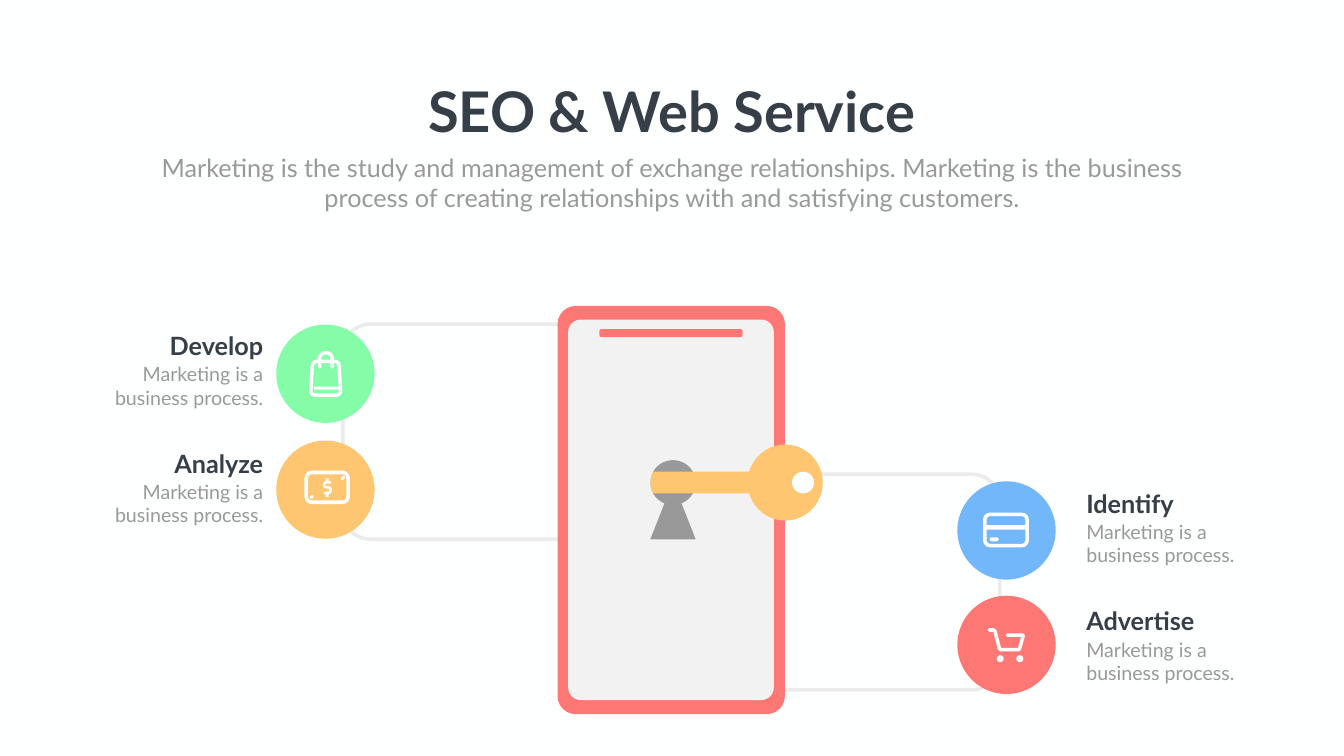
import math

import lxml.etree
import pptx
import pptx.dml.color
import pptx.enum.shapes
import pptx.enum.text
import pptx.oxml.ns
import pptx.util

SCALE = 9144  # EMU in one px, 100 px to the inch
PAPER, WHITE, LINE, SCREEN, GREY = "FEFFFF", "FFFFFF", "EBEBEB", "F2F2F2", "999999"
DARK, RED, YELLOW, GREEN, BLUE = "363E48", "FD7875", "FEC671", "84FCA8", "73B7FB"
SHAPE = pptx.enum.shapes.MSO_SHAPE
ALIGN = pptx.enum.text.PP_ALIGN
LABEL_WIDTH = 326


def emu(px):
    return pptx.util.Emu(round(px * SCALE))


def rgb(text):
    return pptx.dml.color.RGBColor.from_string(text)


def bezier(start, first, second, end, steps=10):
    """Return points along a cubic curve, both ends included."""
    points = []
    for step in range(steps + 1):
        t = step / steps
        weights = ((1 - t) ** 3, 3 * t * (1 - t) ** 2, 3 * t * t * (1 - t), t ** 3)
        points.append(tuple(
            sum(weight * value for weight, value in zip(weights, values))
            for values in zip(start, first, second, end)))
    return points


def toward(corner, other, distance):
    ratio = distance / math.dist(corner, other)
    return tuple(a + (b - a) * ratio for a, b in zip(corner, other))


def rounded(points, radius, closed=False):
    """Replace each corner of a polyline by a round one."""
    count = len(points)
    result = []
    for index, corner in enumerate(points):
        if not closed and index in (0, count - 1):
            result.append(corner)
            continue
        before, after = points[index - 1], points[(index + 1) % count]
        result += bezier(toward(corner, before, radius), toward(corner, before, radius * 0.45),
                         toward(corner, after, radius * 0.45), toward(corner, after, radius))
    return result


class Painter:
    font = "Lato"
    heading = {"size": pptx.util.Pt(36), "bold": True}
    detail = {"size": pptx.util.Pt(28), "bold": False}

    def __init__(self, page):
        self.page = page
        self.shapes = page.shapes

    def finish(self, shape, fill=None, line=None, width=7):
        shape.shadow.inherit = False
        if fill:
            shape.fill.solid()
            shape.fill.fore_color.rgb = rgb(fill)
        else:
            shape.fill.background()
        if line:
            self.pen(shape, line, width)
        else:
            shape.line.fill.background()

    def pen(self, shape, color, width):
        """Give a shape or connector a line with round ends."""
        shape.line.color.rgb = rgb(color)
        shape.line.width = emu(width)
        shape.line._get_or_add_ln().set("cap", "rnd")

    def solid(self, kind, left, top, width, height, fill, radius=None):
        shape = self.shapes.add_shape(kind, *map(emu, (left, top, width, height)))
        if radius is not None:
            shape.adjustments[0] = radius / min(width, height)
        self.finish(shape, fill)
        return shape

    def frame(self, left, top, width, height, border, radius, color):
        """Draw a rounded outline whose outer edge fills the given box."""
        shape = self.solid(SHAPE.ROUNDED_RECTANGLE, left + border / 2, top + border / 2,
                           width - border, height - border, None, radius - border / 2)
        self.pen(shape, color, border)

    def outline(self, points, closed=False, **finish):
        corners = [(emu(x), emu(y)) for x, y in points]
        builder = self.shapes.build_freeform(*corners[0], scale=1.0)
        builder.add_line_segments(corners[1:], close=closed)
        self.finish(builder.convert_to_shape(), **finish)

    def line(self, start, end, color, width):
        connector = self.shapes.add_connector(
            pptx.enum.shapes.MSO_CONNECTOR.STRAIGHT, *map(emu, start + end))
        self.pen(connector, color, width)
        lxml.etree.SubElement(connector._element.spPr, pptx.oxml.ns.qn("a:effectLst"))

    def text(self, left, top, width, height, lines, color, style, align, wrap=False):
        box = self.shapes.add_textbox(*map(emu, (left, top, width, height)))
        frame_format = {"word_wrap": wrap,
                        "auto_size": pptx.enum.text.MSO_AUTO_SIZE.SHAPE_TO_FIT_TEXT}
        for name, value in frame_format.items():
            setattr(box.text_frame, name, value)
        for index, words in enumerate(lines):
            para = box.text_frame.add_paragraph() if index else box.text_frame.paragraphs[0]
            para.alignment = align
            span = para.add_run()
            span.text = words
            for name, value in {"name": self.font, **style}.items():
                setattr(span.font, name, value)
            span.font.color.rgb = rgb(color)

    def label(self, left, top, title, title_width, align):
        shift = LABEL_WIDTH - title_width if align == ALIGN.RIGHT else 0
        self.text(left, top + 63, LABEL_WIDTH, 104,
                  ["Marketing is a", "business process."], GREY, self.detail, align)
        self.text(left + shift, top, title_width, 71, [title], DARK, self.heading, align)


def draw_phone(painter):
    for box, fill, radius in [((1106, 607, 451, 810), RED, 36),
                              ((1127, 634, 408, 755), SCREEN, 25),
                              ((1189, 653, 284, 16), RED, 4)]:
        painter.solid(SHAPE.ROUNDED_RECTANGLE, *box, fill, radius)


def draw_key(painter):
    painter.solid(SHAPE.OVAL, 1290, 913, 90, 89, GREY)
    painter.solid(SHAPE.ISOSCELES_TRIANGLE, 1290, 956, 90, 114, GREY)
    painter.solid(SHAPE.RECTANGLE, 1290, 936, 339, 43, YELLOW)
    painter.solid(SHAPE.OVAL, 1483, 882, 149, 151, YELLOW)
    painter.solid(SHAPE.OVAL, 1571, 936, 44, 43, PAPER)
    keyhole_edge = bezier((1297, 932), (1297, 932), (1282, 955), (1295, 979))
    painter.outline(keyhole_edge + [(1287, 979), (1286, 932)], closed=True, fill=SCREEN)


def draw_bag(painter):
    painter.solid(SHAPE.RECTANGLE, 623, 767, 51, 6, WHITE)
    body = [(620, 717), (672, 717), (676, 784), (616, 784)]
    painter.outline(rounded(body, 9, closed=True), closed=True, line=WHITE)
    handle = [(634, 728), (634, 700), (659, 700), (659, 728)]
    painter.outline(rounded(handle, 12), line=WHITE)


def draw_bill(painter):
    painter.frame(604, 934, 90, 66, 7, 14, WHITE)
    dollar = [(655, 957), (643, 957), (643, 967), (656, 967), (656, 978), (644, 978)]
    painter.outline(rounded(dollar, 5), line=WHITE, width=5)
    for top in (949, 979):
        painter.solid(SHAPE.RECTANGLE, 646, top, 6, 7, WHITE)
    for start, end in [((678, 950), (682, 947)), ((617, 987), (620, 985))]:
        painter.line(start, end, WHITE, 6)


def draw_card(painter):
    painter.solid(SHAPE.RECTANGLE, 1955, 1042, 82, 9, WHITE)
    painter.solid(SHAPE.ROUNDED_RECTANGLE, 1963, 1066, 18, 8, WHITE, 4)
    painter.frame(1950, 1017, 91, 69, 7, 14, WHITE)


def draw_cart(painter):
    basket = [(1962, 1250), (1973, 1250), (1983, 1289), (2022, 1289), (2030, 1260), (1998, 1260)]
    painter.outline(rounded(basket, 3), line=WHITE)
    for left in (1977, 2016):
        painter.solid(SHAPE.OVAL, left, 1300, 14, 14, WHITE)


def main():
    deck = pptx.Presentation()
    deck.slide_width, deck.slide_height = emu(2666), emu(1500)
    page = deck.slides.add_slide(deck.slide_layouts[6])
    page.background.fill.solid()
    page.background.fill.fore_color.rgb = rgb(PAPER)
    painter = Painter(page)

    for inner, outer, top, bottom in [(1108, 680, 643, 1070), (1555, 1983, 941, 1369)]:
        bracket = [(inner, top), (outer, top), (outer, bottom), (inner, bottom)]
        painter.outline(rounded(bracket, 55), line=LINE)
    draw_phone(painter)
    draw_key(painter)

    painter.text(828, 147, 1009, 145, ["SEO & Web Service"], DARK,
                 {"size": pptx.util.Pt(80), "bold": True}, ALIGN.CENTER)
    painter.text(292, 297, 2082, 131, [
        "Marketing is the study and management of exchange relationships. Marketing is the "
        "business process of creating relationships with and satisfying customers."],
        GREY, {"size": pptx.util.Pt(36)}, ALIGN.CENTER, wrap=True)

    services = [
        ("Develop", 212, ALIGN.RIGHT, 206, 651, 548, 644, GREEN, draw_bag),
        ("Analyze", 202, ALIGN.RIGHT, 206, 884, 548, 874, YELLOW, draw_bill),
        ("Identify", 202, ALIGN.LEFT, 2145, 963, 1899, 955, BLUE, draw_card),
        ("Advertise", 240, ALIGN.LEFT, 2145, 1197, 1899, 1182, RED, draw_cart),
    ]
    for title, width, align, left, top, disc_left, disc_top, color, draw_icon in services:
        painter.solid(SHAPE.OVAL, disc_left, disc_top, 195, 195, color)
        draw_icon(painter)
        painter.label(left, top, title, width, align)
    deck.save("out.pptx")


if __name__ == "__main__":
    main()
